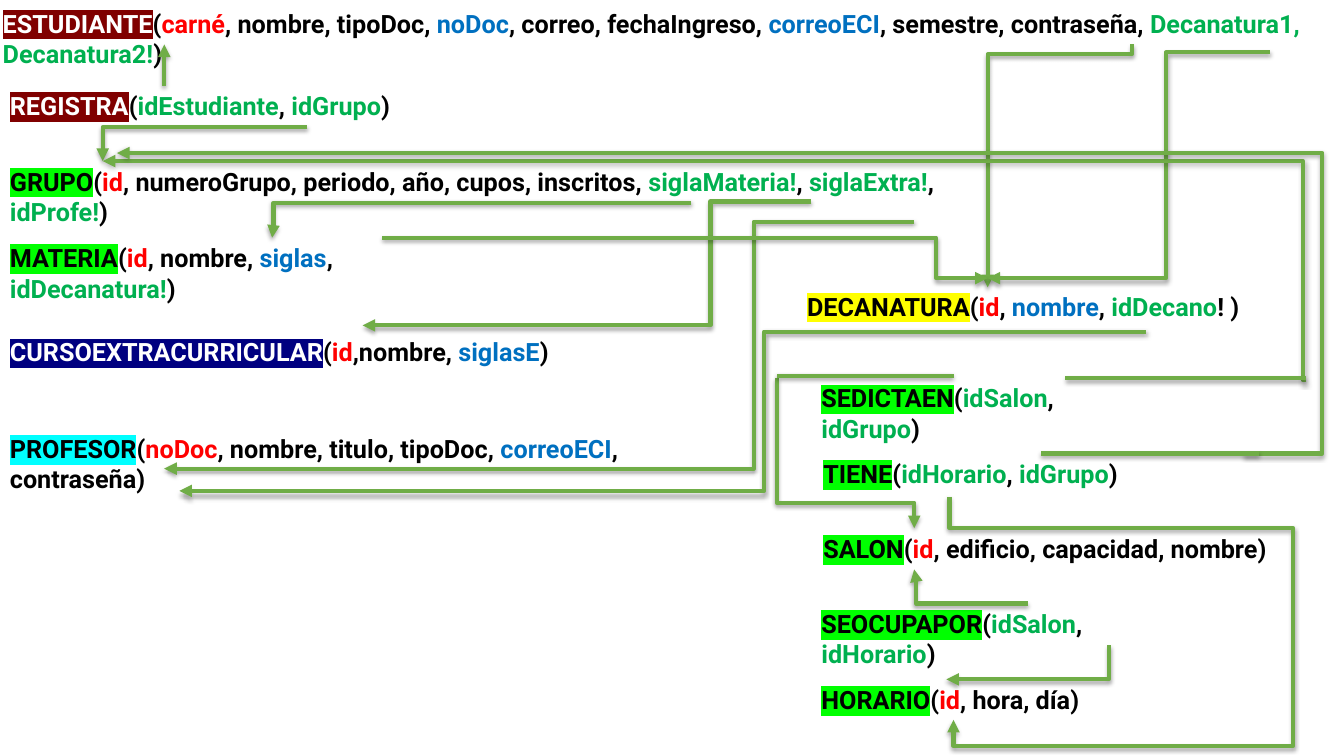
from collections import namedtuple
from dataclasses import dataclass

from lxml.etree import SubElement
from pptx import Presentation
from pptx.dml.color import RGBColor
from pptx.enum.shapes import MSO_CONNECTOR
from pptx.enum.text import MSO_AUTO_SIZE
from pptx.oxml.ns import qn
from pptx.util import Cm, Pt


@dataclass(frozen=True)
class Theme:
    font: str = "Roboto"
    size: int = 18
    line_width: int = 3
    plain: str = "000000"
    light: str = "FFFFFF"
    key: str = "FF0000"
    unique: str = "0070C0"
    foreign: str = "00B050"
    arrow: str = "70AD47"
    maroon: str = "800000"
    green: str = "00FF00"
    navy: str = "000080"
    cyan: str = "00FFFF"
    yellow: str = "FFFF00"


THEME = Theme()
PLAIN, KEY, UNIQUE, FOREIGN = THEME.plain, THEME.key, THEME.unique, THEME.foreign

Box = namedtuple("Box", "left top width height")
Relation = namedtuple("Relation", "left top width name highlight fields")
Route = namedtuple("Route", "begin end bends vertical", defaults=((), False))

SLIDE_BOX = Box(0, 0, 33.87, 19.05)
LEFT_BOX = Box(0, 0, 34.69, 11.83)
RIGHT_BOX = Box(20.45, 7.21, 11.91, 10.94)
RELATION_HEIGHT = 1.03

LEFT_RELATIONS = [
    Relation(-0.18, 0.08, 34.87, "ESTUDIANTE", THEME.maroon, [
        ("carné", KEY), (", nombre, tipoDoc, ", PLAIN), ("noDoc", UNIQUE),
        (", correo, fechaIngreso, ", PLAIN), ("correoECI", UNIQUE),
        (", semestre, contraseña, ", PLAIN), ("Decanatura1, Decanatura2!", FOREIGN), (")", PLAIN)]),
    Relation(0, 2.16, 10.19, "REGISTRA", THEME.maroon, [
        ("idEstudiante", FOREIGN), (", ", PLAIN), ("idGrupo", FOREIGN), (")", PLAIN)]),
    Relation(0, 4.06, 24.84, "GRUPO", THEME.green, [
        ("id", KEY), (", numeroGrupo, periodo, año, cupos, inscritos, ", PLAIN),
        ("siglaMateria!", FOREIGN), (", ", PLAIN), ("siglaExtra!", FOREIGN), (", ", PLAIN),
        ("idProfe!", FOREIGN), (")", PLAIN)]),
    Relation(0, 5.99, 12.65, "MATERIA", THEME.green, [
        ("id", KEY), (", nombre, ", PLAIN), ("siglas", UNIQUE), (", ", PLAIN),
        ("idDecanatura!", FOREIGN), (")", PLAIN)]),
    Relation(0, 8.36, 16.33, "CURSOEXTRACURRICULAR", THEME.navy, [
        ("id", KEY), (",nombre, ", PLAIN), ("siglasE", UNIQUE), (")", PLAIN)]),
    Relation(0, 10.8, 19.28, "PROFESOR", THEME.cyan, [
        ("noDoc", KEY), (", nombre, titulo, tipoDoc, ", PLAIN), ("correoECI", UNIQUE),
        (", contraseña)", PLAIN)]),
]

RIGHT_RELATIONS = [
    Relation(-0.36, 0, 11.86, "DECANATURA", THEME.yellow, [
        ("id", KEY), (",", PLAIN), (" nombre", UNIQUE), (", ", PLAIN),
        ("idDecano", FOREIGN), ("! )", PLAIN)]),
    Relation(0, 2.31, 8.76, "SEDICTAEN", THEME.green, [
        ("idSalon", FOREIGN), (", ", PLAIN), ("idGrupo", FOREIGN), (")", PLAIN)]),
    Relation(0.05, 4.22, 8.76, "TIENE", THEME.green, [
        ("idHorario", FOREIGN), (", ", PLAIN), ("idGrupo", FOREIGN), (")", PLAIN)]),
    Relation(0.05, 6.1, 11.86, "SALON", THEME.green, [
        ("id", KEY), (", edificio, capacidad, nombre)", PLAIN)]),
    Relation(0, 8, 10.08, "SEOCUPAPOR", THEME.green, [
        ("idSalon", FOREIGN), (", ", PLAIN), ("idHorario", FOREIGN), (")", PLAIN)]),
    Relation(0, 9.91, 7.16, "HORARIO", THEME.green, [
        ("id", KEY), (", hora, día)", PLAIN)]),
]

ARROWS = [
    Route((4.14, 2.16), (4.14, 1.12)),
    Route((7.75, 3.2), (2.59, 4.06), [2.59]),
    Route((28.52, 1.12), (24.89, 7.24), [1.37], True),
    Route((32, 1.32), (24.89, 7.01), [29.39]),
    Route((17.42, 5.11), (6.86, 5.99), [6.89]),
    Route((20.45, 5.08), (9.14, 8.2), [17.91]),
    Route((23.04, 5.59), (4.14, 11.81), [19]),
    Route((19.58, 9.53), (23.04, 13.31), [12.67], True),
    Route((32.92, 9.58), (2.59, 4.06), [32.82]),
    Route((25.91, 15.21), (23.04, 14.35), [23.09]),
    Route((27.94, 16.26), (23.85, 17.12), [27.94]),
    Route((31.34, 11.43), (2.95, 3.86), [33.32]),
    Route((23.93, 12.52), (24.03, 18.14), [13.31, 32.59, 18.8], True),
    Route((9.63, 5.99), (24.89, 7.01), [23.6]),
    Route((28.88, 8.36), (4.52, 12.37), [19.25]),
]

PLAIN_LINES = [
    Route((24.03, 9.47), (19.58, 9.47)),
    Route((26.85, 9.53), (32.92, 9.53)),
    Route((26.24, 11.43), (31.72, 11.43)),
]


def add_run(paragraph, text, color):
    run = paragraph.add_run()
    run.text = text
    run.font.color.rgb = RGBColor.from_string(color)
    return run


def draw_relations(slide, box, relations):
    for relation in relations:
        shape = slide.shapes.add_textbox(
            Cm(box.left + relation.left), Cm(box.top + relation.top),
            Cm(relation.width), Cm(RELATION_HEIGHT))
        shape.text_frame.word_wrap = True
        shape.text_frame.auto_size = MSO_AUTO_SIZE.SHAPE_TO_FIT_TEXT
        paragraph = shape.text_frame.paragraphs[0]
        paragraph.font.name = THEME.font
        paragraph.font.size = Pt(THEME.size)
        paragraph.font.bold = True
        is_dark = relation.highlight in (THEME.maroon, THEME.navy)
        name_run = add_run(paragraph, relation.name, THEME.light if is_dark else PLAIN)
        highlight = SubElement(name_run.font._element, qn("a:highlight"))
        SubElement(highlight, qn("a:srgbClr"), val=relation.highlight)
        add_run(paragraph, "(", PLAIN)
        for text, color in relation.fields:
            add_run(paragraph, text, color)


def bend_connector(connector, route):
    properties = connector._element.spPr
    geometry = properties.find(qn("a:prstGeom"))
    geometry.set("prst", f"bentConnector{len(route.bends) + 2}")
    guides = geometry.find(qn("a:avLst"))
    for index, bend in enumerate(route.bends):
        axis = (index + route.vertical) % 2
        begin, end = route.begin[axis], route.end[axis]
        ratio = round((bend - begin) / (end - begin) * 100000)
        SubElement(guides, qn("a:gd"), name=f"adj{index + 1}", fmla=f"val {ratio}")
    if route.vertical:
        properties.find(qn("a:xfrm")).set("rot", str(90 * 60000))


def style_connector(connector, has_arrowhead):
    connector.line.color.rgb = RGBColor.from_string(THEME.arrow)
    connector.line.width = Pt(THEME.line_width)
    if has_arrowhead:
        SubElement(connector.line._get_or_add_ln(), qn("a:tailEnd"), type="triangle")
    effects = SubElement(connector._element.spPr, qn("a:effectLst"))
    shadow = SubElement(
        effects, qn("a:outerShdw"), blurRad=str(Pt(3.1)), dist=str(Pt(1.8)),
        dir=str(90 * 60000), rotWithShape="0")
    color = SubElement(shadow, qn("a:srgbClr"), val=PLAIN)
    SubElement(color, qn("a:alpha"), val="35000")


def draw_routes(slide, box, routes, has_arrowhead):
    for route in routes:
        (begin_x, begin_y), (end_x, end_y) = route.begin, route.end
        if route.vertical:
            center_x, center_y = (begin_x + end_x) / 2, (begin_y + end_y) / 2
            half_x, half_y = (end_x - begin_x) / 2, (end_y - begin_y) / 2
            begin_x, end_x = center_x - half_y, center_x + half_y
            begin_y, end_y = center_y + half_x, center_y - half_x
        kind = MSO_CONNECTOR.ELBOW if route.bends else MSO_CONNECTOR.STRAIGHT
        connector = slide.shapes.add_connector(
            kind, Cm(box.left + begin_x), Cm(box.top + begin_y),
            Cm(box.left + end_x), Cm(box.top + end_y))
        if route.bends:
            bend_connector(connector, route)
        style_connector(connector, has_arrowhead)


def main():
    presentation = Presentation()
    presentation.slide_width = Cm(SLIDE_BOX.width)
    presentation.slide_height = Cm(SLIDE_BOX.height)
    slide = presentation.slides.add_slide(presentation.slide_layouts[6])
    draw_relations(slide, LEFT_BOX, LEFT_RELATIONS)
    draw_relations(slide, RIGHT_BOX, RIGHT_RELATIONS)
    draw_routes(slide, SLIDE_BOX, ARROWS, True)
    draw_routes(slide, SLIDE_BOX, PLAIN_LINES, False)
    presentation.save("out.pptx")


if __name__ == "__main__":
    main()
